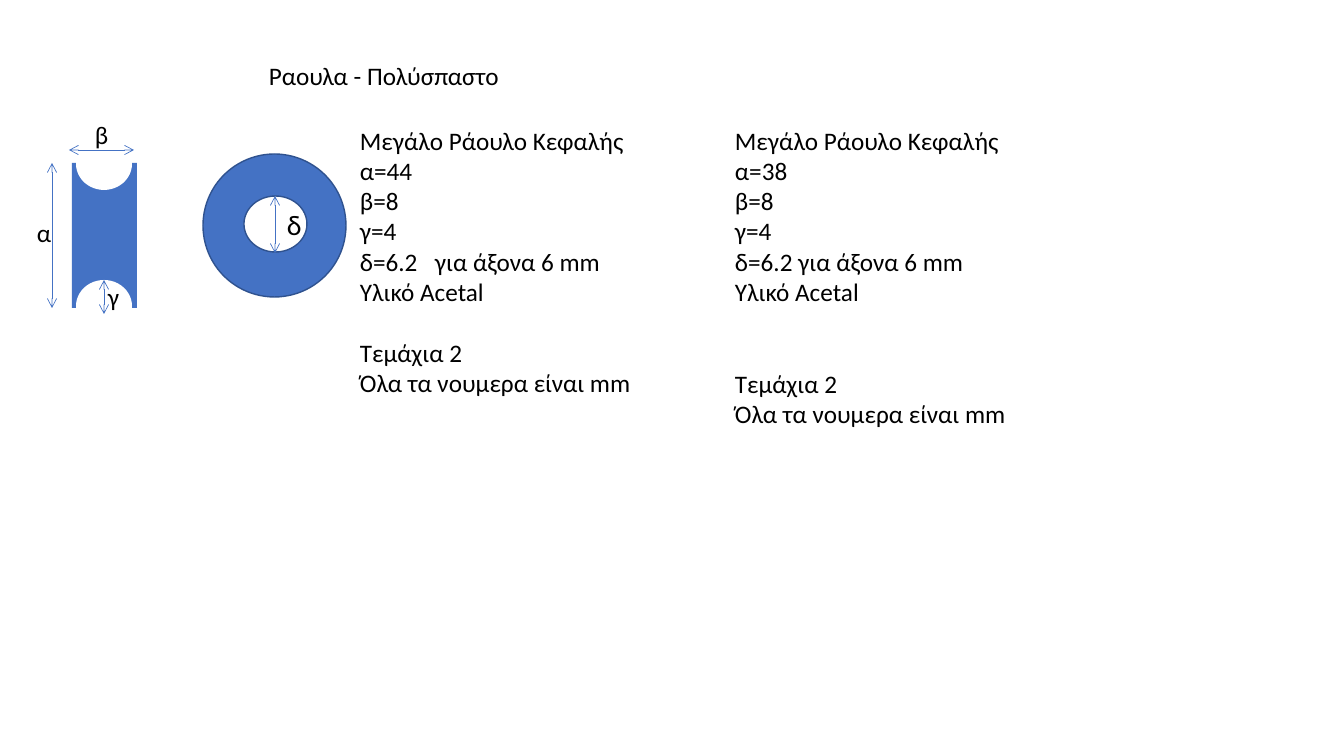
from dataclasses import dataclass

from lxml.etree import SubElement
from pptx import Presentation
from pptx.dml.color import RGBColor
from pptx.enum.shapes import MSO_CONNECTOR, MSO_SHAPE
from pptx.enum.text import MSO_AUTO_SIZE
from pptx.oxml.ns import qn
from pptx.util import Pt


@dataclass(frozen=True)
class Theme:
    font: str = "Calibri"
    ink: str = "000000"
    blue: str = "4472C4"
    edge: str = "2F528F"
    white: str = "FFFFFF"
    body: int = 18
    large: int = 20
    line_height: int = 22
    edge_width: float = 1
    arrow_width: float = 0.5


THEME = Theme()
EMU_PER_PX = 914400 / 100.8
PAGE_SIZE = (1344, 756)

TITLE = ("Ραουλα - Πολύσπαστο", (259, 55, 253, 40))

# kind, box (left, top, width, height), fill, outline
PULLEY_PARTS = [
    (MSO_SHAPE.RECTANGLE, (72, 163, 65, 145), THEME.blue, None),
    (MSO_SHAPE.OVAL, (76, 280, 56, 52), THEME.white, None),
    (MSO_SHAPE.OVAL, (76, 138, 56, 52), THEME.white, None),
    (MSO_SHAPE.OVAL, (203, 154, 143, 143), THEME.blue, THEME.edge),
    (MSO_SHAPE.OVAL, (244, 196, 63, 56), THEME.white, THEME.edge),
]

# letter, type size, letter box, arrow start, arrow end
DIMENSIONS = [
    ("α", THEME.body, (27, 212, 35, 40), (52, 163), (52, 308)),
    ("β", THEME.body, (85, 114, 34, 40), (69, 150), (134, 150)),
    ("γ", THEME.body, (98, 276, 31, 40), (104, 280), (104, 314)),
    ("δ", THEME.large, (277, 203, 35, 44), (275, 196), (275, 253)),
]

ORDER = ["Τεμάχια 2", "Όλα τα νουμερα είναι mm"]
# box, measures, lines of space before the order
PULLEYS = [
    ((350, 120, 326, 285),
     ["Μεγάλο Ράουλο Κεφαλής", "α=44", "β=8", "γ=4",
      "δ=6.2\tγια άξονα 6 mm", "Υλικό Acetal"], 1),
    ((725, 120, 326, 377),
     ["Μεγάλο Ράουλο Κεφαλής", "α=38", "β=8", "γ=4",
      "δ=6.2 για άξονα 6 mm", "Υλικό Acetal"], 2),
]
AXLE_TAB = 75


def px(*lengths):
    return [round(length * EMU_PER_PX) for length in lengths]


def color(code):
    return RGBColor.from_string(code)


def add_part(page, kind, box, fill, outline):
    part = page.shapes.add_shape(kind, *px(*box))
    part.shadow.inherit = False
    part.fill.solid()
    part.fill.fore_color.rgb = color(fill)
    if outline:
        part.line.color.rgb = color(outline)
        part.line.width = Pt(THEME.edge_width)
    else:
        part.line.fill.background()


def add_arrow(page, start, end):
    """Draw a dimension line with an open arrowhead at both ends."""
    arrow = page.shapes.add_connector(MSO_CONNECTOR.STRAIGHT, *px(*start, *end))
    arrow.line.color.rgb = color(THEME.blue)
    arrow.line.width = Pt(THEME.arrow_width)
    outline = arrow.line._get_or_add_ln()
    for tip in ("a:headEnd", "a:tailEnd"):
        SubElement(outline, qn(tip), type="arrow")
    SubElement(arrow._element.spPr, qn("a:effectLst"))


def add_text(page, box, lines, size=THEME.body, wrap=False):
    frame = page.shapes.add_textbox(*px(*box)).text_frame
    frame.word_wrap = wrap
    frame.auto_size = MSO_AUTO_SIZE.SHAPE_TO_FIT_TEXT
    for index, line in enumerate(lines):
        para = frame.add_paragraph() if index else frame.paragraphs[0]
        span = para.add_run()
        span.text = line
        span.font.name = THEME.font
        span.font.size = Pt(size)
        span.font.color.rgb = color(THEME.ink)
        if "\t" in line:
            stops = SubElement(para._p.get_or_add_pPr(), qn("a:tabLst"))
            SubElement(stops, qn("a:tab"), pos=str(px(AXLE_TAB)[0]), algn="l")
    return frame


def main():
    deck = Presentation()
    deck.slide_width, deck.slide_height = px(*PAGE_SIZE)
    page = deck.slides.add_slide(deck.slide_layouts[6])

    title, title_box = TITLE
    add_text(page, title_box, [title])
    for part in PULLEY_PARTS:
        add_part(page, *part)
    for letter, size, box, start, end in DIMENSIONS:
        add_arrow(page, start, end)
        add_text(page, box, [letter], size)
    for box, measures, gap in PULLEYS:
        frame = add_text(page, box, measures + ORDER, wrap=True)
        order_start = frame.paragraphs[len(measures)]
        order_start.space_before = Pt(gap * THEME.line_height)

    deck.save("out.pptx")


if __name__ == "__main__":
    main()
